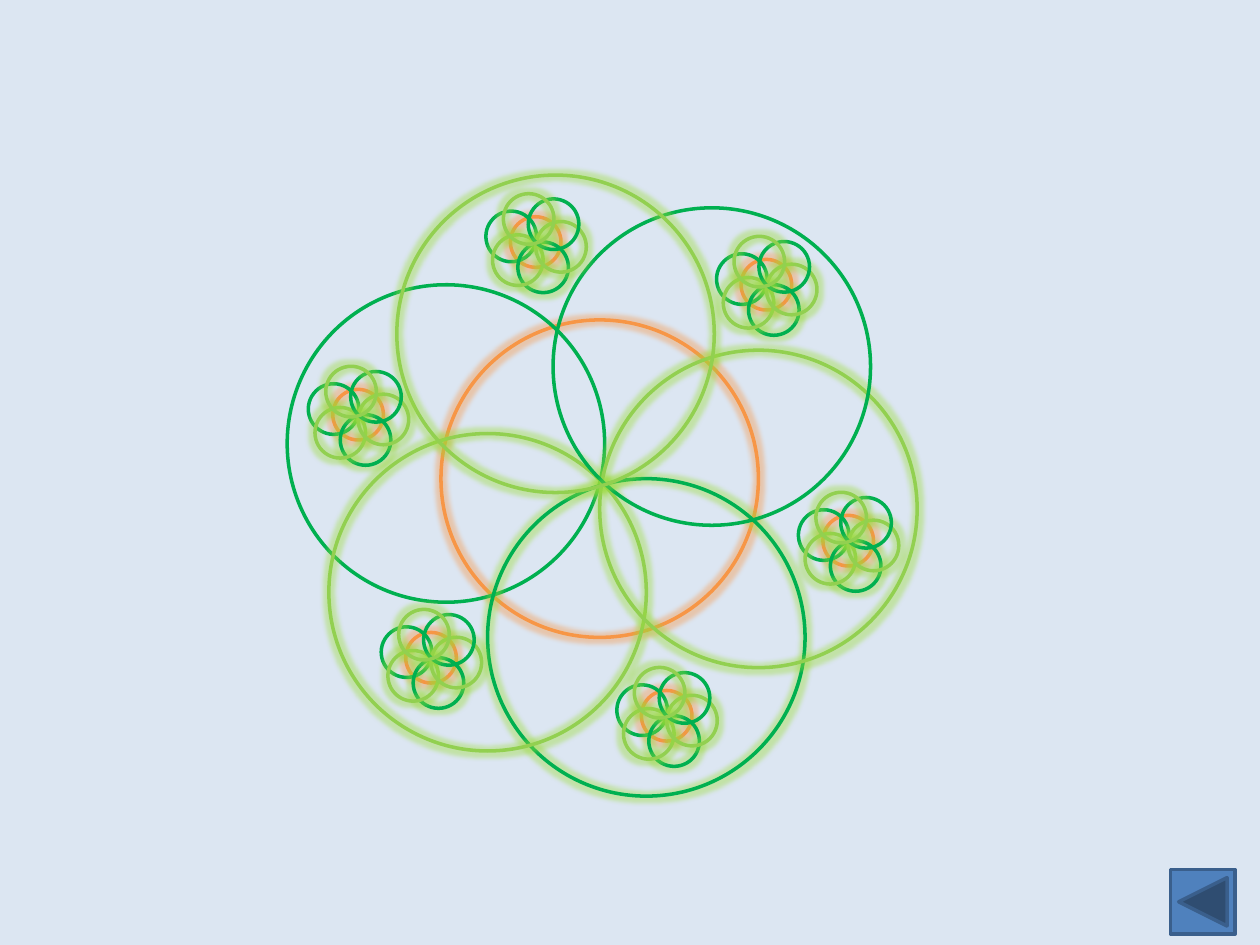
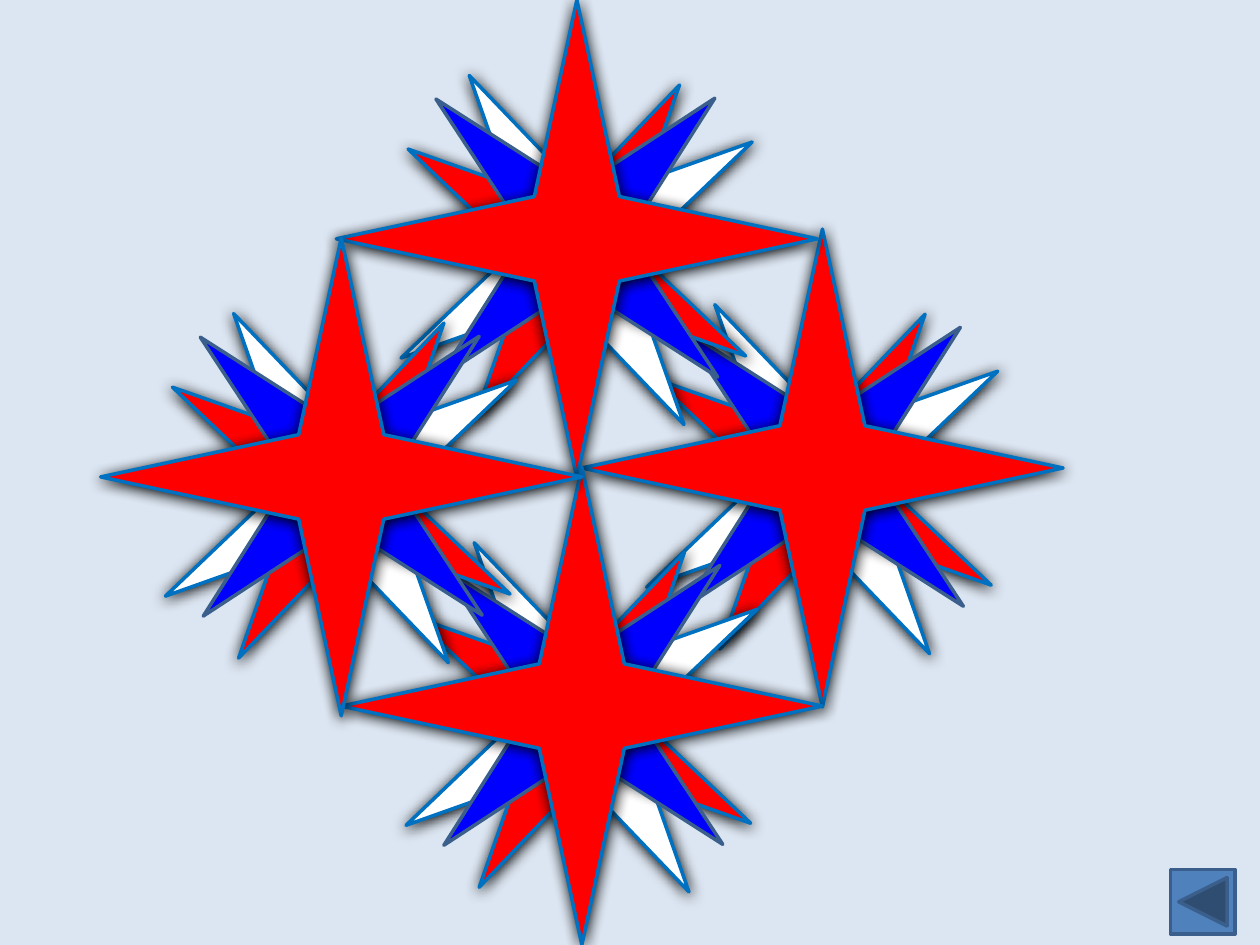
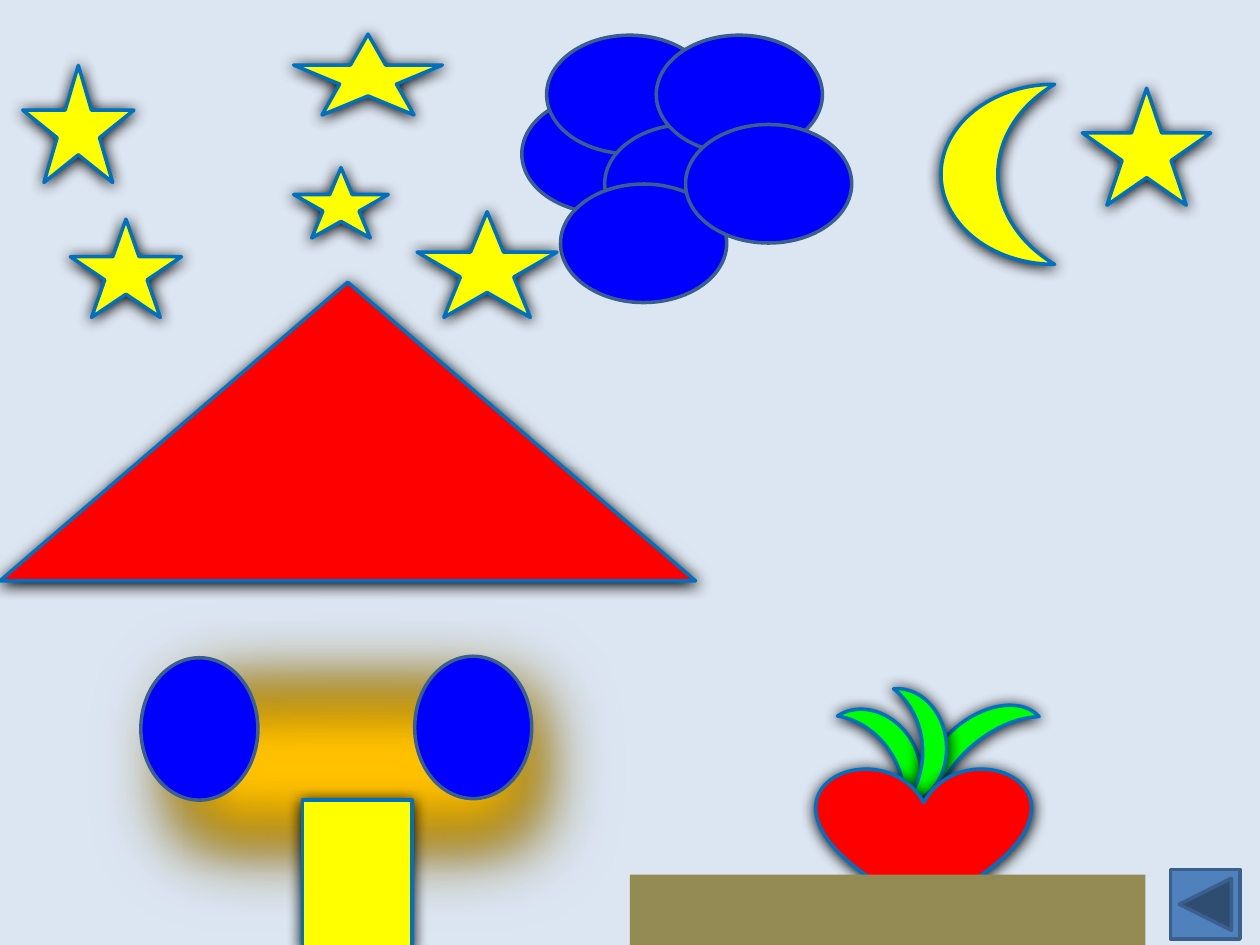
from lxml import etree
from pptx import Presentation
from pptx.dml.color import RGBColor
from pptx.enum.shapes import MSO_SHAPE
from pptx.oxml.ns import qn
from pptx.util import Cm, Pt

ELLIPSE = MSO_SHAPE.OVAL
RECTANGLE = MSO_SHAPE.RECTANGLE
TRIANGLE = MSO_SHAPE.ISOSCELES_TRIANGLE
STAR4 = MSO_SHAPE.STAR_4_POINT
STAR5 = MSO_SHAPE.STAR_5_POINT
MOON = MSO_SHAPE.MOON
HEART = MSO_SHAPE.HEART
BUTTON = MSO_SHAPE.ACTION_BUTTON_FORWARD_OR_NEXT

COLORS = {
    "background": "DCE6F2",
    "button": "4F81BD",
    "navy": "3A5F8C",
    "outline": "0070C0",
    "orange": "F79646",
    "green": "00B050",
    "lime": "92D050",
    "lime_glow": "9BDC37",
    "white": "FFFFFF",
    "red": "FF0000",
    "blue": "0000FF",
    "gold": "FFC000",
    "yellow": "FFFF00",
    "leaf": "00FF00",
    "ground": "948A54",
    "black": "000000",
}


def add_effect(shape, tag, color=None, alpha=100, **attributes):
    effects = shape._element.spPr.find(qn("a:effectLst"))
    effect = etree.SubElement(effects, qn(tag), {k: str(v) for k, v in attributes.items()})
    if color:
        tint = etree.SubElement(effect, qn("a:srgbClr"), val=COLORS[color])
        if alpha < 100:
            etree.SubElement(tint, qn("a:alpha"), val=str(alpha * 1000))


def draw(shapes, kind, left, top, width, height, fill=None, line="outline",
         rotation=0, flip=False, glow=None, shadow=False, soft=0):
    shape = shapes.add_shape(kind, Cm(left), Cm(top), Cm(width), Cm(height))
    shape.shadow.inherit = False
    shape.rotation = rotation
    if fill:
        shape.fill.solid()
        shape.fill.fore_color.rgb = RGBColor.from_string(COLORS[fill])
    else:
        shape.fill.background()
    if line:
        shape.line.color.rgb = RGBColor.from_string(COLORS[line])
        shape.line.width = Pt(2)
    else:
        shape.line.fill.background()
    if flip:
        shape._element.spPr.xfrm.set("flipH", "1")
    if glow:
        add_effect(shape, "a:glow", glow, 40, rad=Pt(5))
    if shadow:
        add_effect(shape, "a:outerShdw", "black", blurRad=Pt(8.5), dist=Pt(1),
                   dir=90 * 60000, algn="ctr", rotWithShape=0)
    if soft:
        add_effect(shape, "a:softEdge", rad=Pt(soft))


deck = Presentation()
deck.slide_width, deck.slide_height = Cm(25.4), Cm(19.05)
pages = []
for button_size in (1.3, 1.3, 1.4):
    page = deck.slides.add_slide(deck.slide_layouts[6])
    page.background.fill.solid()
    page.background.fill.fore_color.rgb = RGBColor.from_string(COLORS["background"])
    draw(page.shapes, BUTTON, 23.6, 17.53, button_size, button_size,
         "button", "navy", flip=True)
    pages.append(page)
flower_page, star_page, house_page = pages

PETALS = [
    (0, 0, "orange", "orange", 0),
    (-3.1, -0.71, "green", None, 8.3),
    (0.94, 3.2, "green", "lime_glow", 0),
    (-2.26, 2.29, "lime", "lime_glow", 0),
    (3.2, 0.61, "lime", "lime_glow", 0),
    (2.26, -2.26, "green", None, 0),
    (-0.89, -2.92, "lime", "lime_glow", 0),
]
LARGE, SMALL = 6.4, 1.02
FLOWERS = [(8.89, 6.45, LARGE)] + [(x, y, SMALL) for x, y in (
    (8.18, 12.75), (16.59, 10.39), (12.93, 13.92),
    (14.94, 5.23), (10.29, 4.37), (6.71, 7.85))]
for left, top, size in FLOWERS:
    flower = flower_page.shapes.add_group_shape()
    for dx, dy, color, glow, rotation in PETALS:
        draw(flower.shapes, ELLIPSE, left + dx * size / LARGE, top + dy * size / LARGE,
             size, size, line=color, rotation=rotation, glow=glow)

RAYS = [
    (0.69, 0.91, 8.31, 8.26, "white", "outline", 328.4),
    (0.89, 1.1, 7.92, 7.98, "red", "outline", 301.5),
    (0.89, 0.81, 7.92, 7.98, "blue", "navy", 314.6),
    (0, 0, 9.7, 9.63, "red", "outline", 0),
]
for left, top in ((11.73, 4.62), (6.78, 0), (6.88, 9.42), (2.03, 4.8)):
    burst = star_page.shapes.add_group_shape()
    for dx, dy, width, height, fill, line, rotation in RAYS:
        draw(burst.shapes, STAR4, left + dx, top + dy, width, height, fill, line,
             rotation, shadow=fill != "blue")

shapes = house_page.shapes
for left, top, width, height, rotation, flip in (
        (19.02, 13.61, 0.99, 3, 46.9, False),
        (17.45, 13.97, 0.97, 2.34, 326.3, True),
        (18.11, 13.84, 0.97, 2.34, 355.2, True)):
    draw(shapes, MOON, left, top, width, height, "leaf",
         rotation=rotation, flip=flip, shadow=True)
draw(shapes, HEART, 16.46, 15.47, 4.32, 2.84, "red", shadow=True)
draw(shapes, RECTANGLE, 12.7, 17.63, 10.39, 1.55, "ground", None)

draw(shapes, RECTANGLE, 1.42, 11.71, 11.51, 7.39, "gold", shadow=True, soft=50)
for left, top in ((2.84, 13.26), (8.36, 13.23)):
    draw(shapes, ELLIPSE, left, top, 2.36, 2.87, "blue", "navy")
draw(shapes, TRIANGLE, 0, 5.69, 14.02, 6.02, "red", shadow=True)
draw(shapes, RECTANGLE, 6.1, 16.13, 2.21, 3.02, "yellow", shadow=True)

cloud = shapes.add_group_shape()
for left, top in ((10.52, 1.91), (11.02, 0.71), (12.19, 2.51),
                  (13.23, 0.71), (11.3, 3.71), (13.82, 2.51)):
    draw(cloud.shapes, ELLIPSE, left, top, 3.35, 2.39, "blue", "navy")

draw(shapes, MOON, 18.97, 1.7, 2.29, 3.63, "yellow", shadow=True)
for left, top, width, height in (
        (0.46, 1.32, 2.24, 2.36), (5.92, 3.38, 1.91, 1.42),
        (8.41, 4.27, 2.82, 2.13), (1.42, 4.42, 2.24, 1.98),
        (5.92, 0.69, 3, 1.63), (21.82, 1.78, 2.59, 2.36)):
    draw(shapes, STAR5, left, top, width, height, "yellow", shadow=True)

deck.save("out.pptx")
